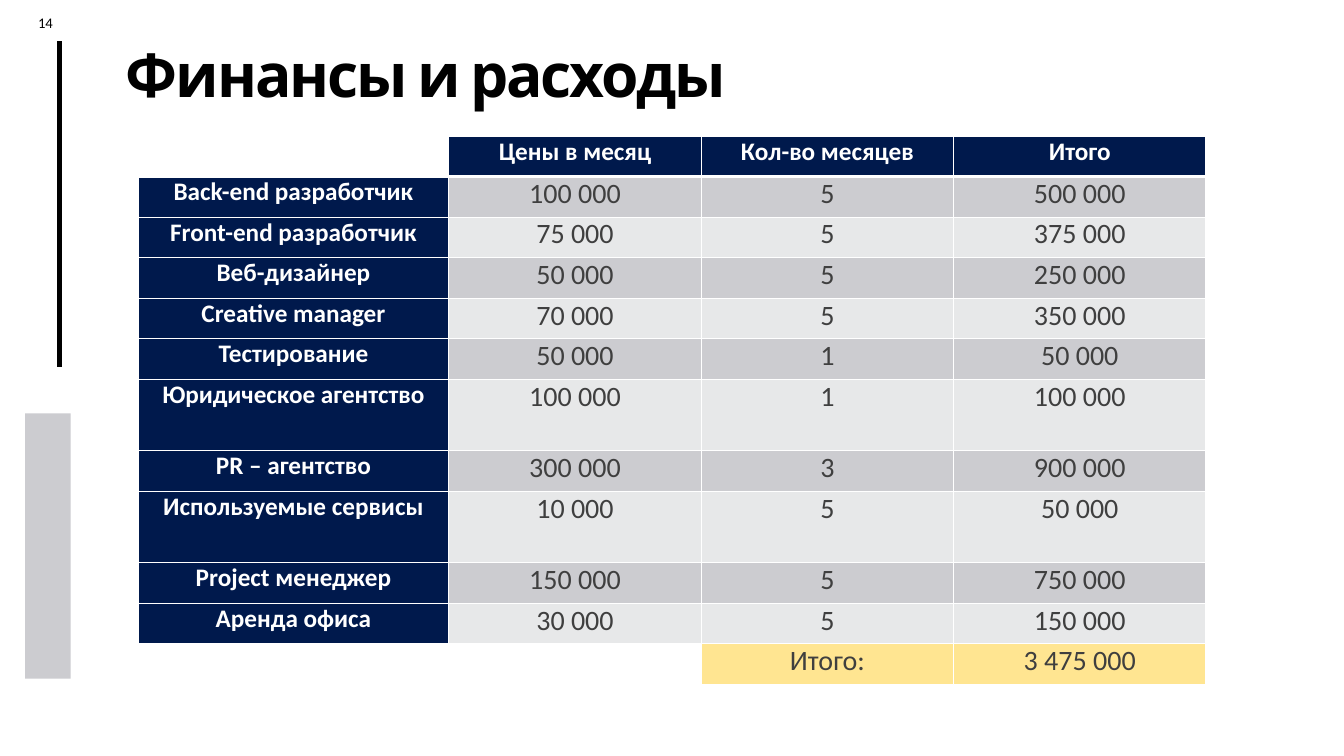
from lxml import etree
from pptx import Presentation
from pptx import util as u
from pptx.dml import color
from pptx.enum import shapes, text
from pptx.oxml import ns

COLOURS = {
    "ink": "000000",
    "paper": "FFFFFF",
    "navy": "00194C",
    "figure": "3F3F3F",
    "dark_band": "CCCCD0",
    "light_band": "E7E8E9",
    "total": "FFE591",
}
GRID_COLUMNS, GRID_ROWS = 160, 90
HEADINGS = ["", "Цены в месяц", "Кол-во месяцев", "Итого"]
EXPENSES = [
    ["Back-end разработчик", "100 000", "5", "500 000"],
    ["Front-end разработчик", "75 000", "5", "375 000"],
    ["Веб-дизайнер", "50 000", "5", "250 000"],
    ["Creative manager", "70 000", "5", "350 000"],
    ["Тестирование", "50 000", "1", "50 000"],
    ["Юридическое агентство", "100 000", "1", "100 000"],
    ["PR – агентство", "300 000", "3", "900 000"],
    ["Используемые сервисы", "10 000", "5", "50 000"],
    ["Project менеджер", "150 000", "5", "750 000"],
    ["Аренда офиса", "30 000", "5", "150 000"],
]
TOTALS = ["", "", "Итого:", "3 475 000"]
TALL_LABELS = {"Юридическое агентство", "Используемые сервисы"}


def rgb(name):
    return color.RGBColor.from_string(COLOURS[name])


def add_span(para, words, size, font="Calibri", colour="ink", bold=False, spacing=None):
    span = para.add_run()
    span.text = words
    span.font.size = u.Pt(size)
    span.font.name = font
    span.font.bold = bold
    span.font.color.rgb = rgb(colour)
    if spacing is not None:
        span.font._element.set("spc", str(round(spacing * 100)))


class SlideBuilder:
    def __init__(self, deck):
        self.deck = deck
        self.page = deck.slides.add_slide(deck.slide_layouts[5])
        self.heading_font = "Cabin"

    def across(self, columns):
        return round(self.deck.slide_width * columns / GRID_COLUMNS)

    def down(self, rows):
        return round(self.deck.slide_height * rows / GRID_ROWS)

    def area(self, left, top, width, height):
        return self.across(left), self.down(top), self.across(width), self.down(height)

    def title(self, words, *area):
        box = self.page.shapes.title
        box.left, box.top, box.width, box.height = self.area(*area)
        frame = box.text_frame
        frame.auto_size = text.MSO_AUTO_SIZE.NONE
        frame.vertical_anchor = text.MSO_ANCHOR.BOTTOM
        para = frame.paragraphs[0]
        para.alignment = text.PP_ALIGN.LEFT
        para.line_spacing = 0.9
        add_span(para, words, 43.2, self.heading_font, bold=True, spacing=-1.5)

    def page_number(self, words, *area):
        box = self.page.shapes.add_textbox(*self.area(*area))
        box.text_frame.word_wrap = True
        para = box.text_frame.paragraphs[0]
        para.alignment = text.PP_ALIGN.CENTER
        add_span(para, words, 10.5)

    def panel(self, fill, *area):
        box = self.page.shapes.add_shape(shapes.MSO_SHAPE.RECTANGLE, *self.area(*area))
        box.shadow.inherit = False
        box.fill.solid()
        box.fill.fore_color.rgb = rgb(fill)
        box.line.fill.background()

    def rule(self, column, start, end):
        line = self.page.shapes.add_connector(
            shapes.MSO_CONNECTOR.STRAIGHT,
            self.across(column), self.down(start), self.across(column), self.down(end))
        line.line.color.rgb = rgb("ink")
        line.line.width = u.Pt(3)
        etree.SubElement(line._element.spPr, ns.qn("a:effectLst"))

    def borders(self, cell, top=1, bottom=1):
        properties = cell._tc.get_or_add_tcPr()
        for side, width in (("L", 1), ("R", 1), ("T", top), ("B", bottom)):
            edge = etree.SubElement(properties, ns.qn(f"a:ln{side}"), w=str(u.Pt(width)))
            fill = etree.SubElement(edge, ns.qn("a:solidFill"))
            etree.SubElement(fill, ns.qn("a:srgbClr"), val=COLOURS["paper"])

    def cell(self, cell, words, fill, size, colour, bold, **edges):
        self.borders(cell, **edges)
        cell.fill.solid()
        cell.fill.fore_color.rgb = rgb(fill)
        if words:
            cell.margin_left = cell.margin_right = u.Inches(0.07)
            cell.margin_top = cell.margin_bottom = 0
            para = cell.text_frame.paragraphs[0]
            para.alignment = text.PP_ALIGN.CENTER
            add_span(para, words, size, colour=colour, bold=bold)

    def expense_table(self, left, top, widths, row_height, tall_height):
        rows = [HEADINGS, *EXPENSES, TOTALS]
        heights = [tall_height if row[0] in TALL_LABELS else row_height for row in rows]
        table = self.page.shapes.add_table(
            len(rows), len(widths), *self.area(left, top, sum(widths), sum(heights))).table
        for column, width in zip(table.columns, widths):
            column.width = self.across(width)
        last = len(rows) - 1
        for r, row in enumerate(rows):
            table.rows[r].height = self.down(heights[r])
            edges = {"top": 3 if r == 1 else 1, "bottom": 3 if r == 0 else 1}
            for c, words in enumerate(row):
                is_label = r == 0 or c == 0
                if not words:
                    fill = "paper"
                elif r == last:
                    fill = "total"
                elif is_label:
                    fill = "navy"
                else:
                    fill = "dark_band" if r % 2 else "light_band"
                self.cell(table.cell(r, c), words, fill,
                          size=18 if is_label else 20,
                          colour="paper" if is_label else "figure",
                          bold=is_label, **edges)
        table.cell(last, 0).merge(table.cell(last, 1))


def main():
    deck = Presentation()
    deck.slide_width, deck.slide_height = u.Inches(13.33), u.Inches(7.5)
    slide = SlideBuilder(deck)
    slide.panel("dark_band", 3, 49.2, 5.4, 31.6)
    slide.rule(7.08, 43.68, 4.92)
    slide.page_number("14", 2, 1, 6.84, 3.24)
    slide.title("Финансы и расходы", 13.8, 4.32, 82.44, 9.48)
    slide.expense_table(16.44, 16.2, [37, 30.05, 30.05, 30.05], 4.83, 8.5)
    deck.save("out.pptx")


if __name__ == "__main__":
    main()
